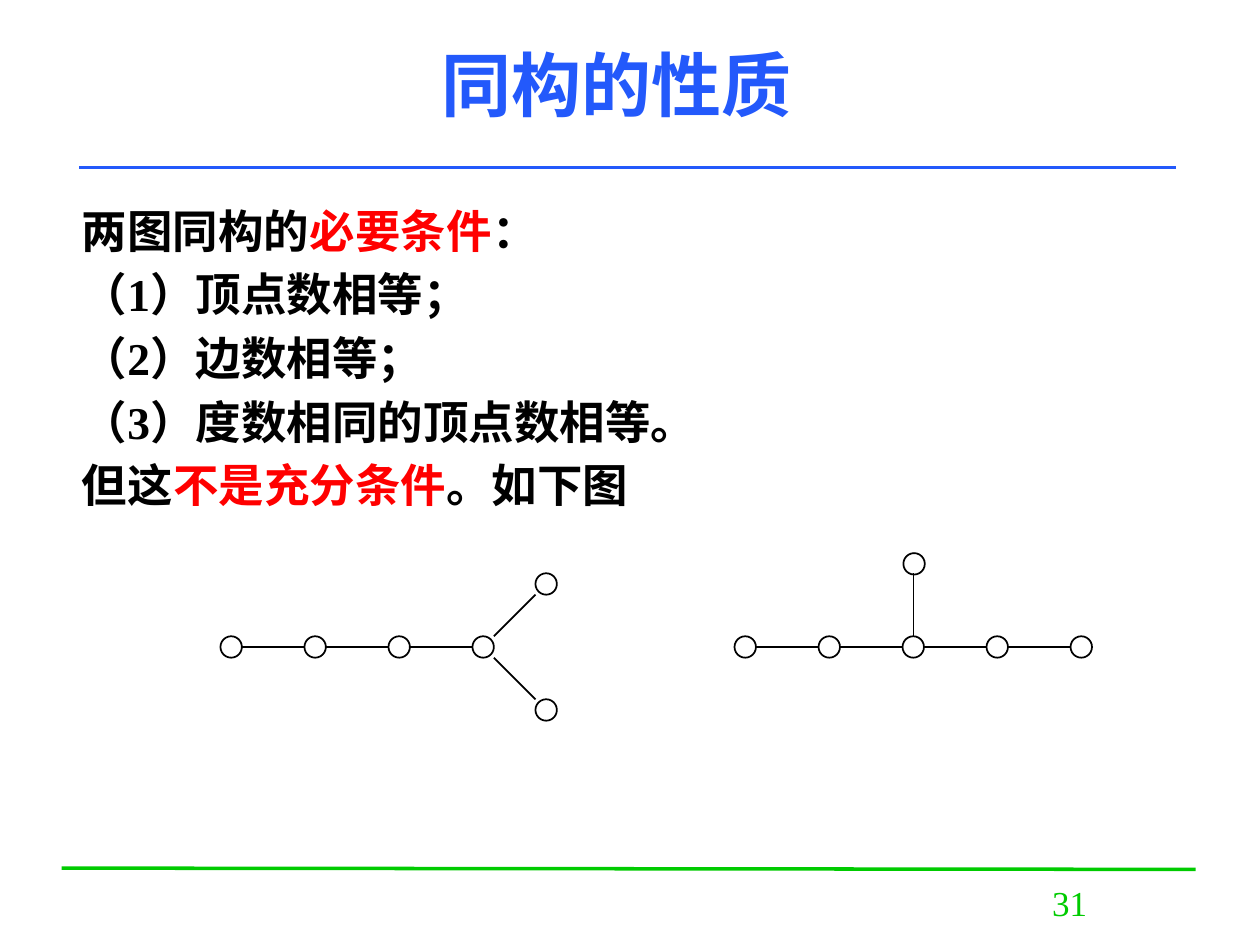
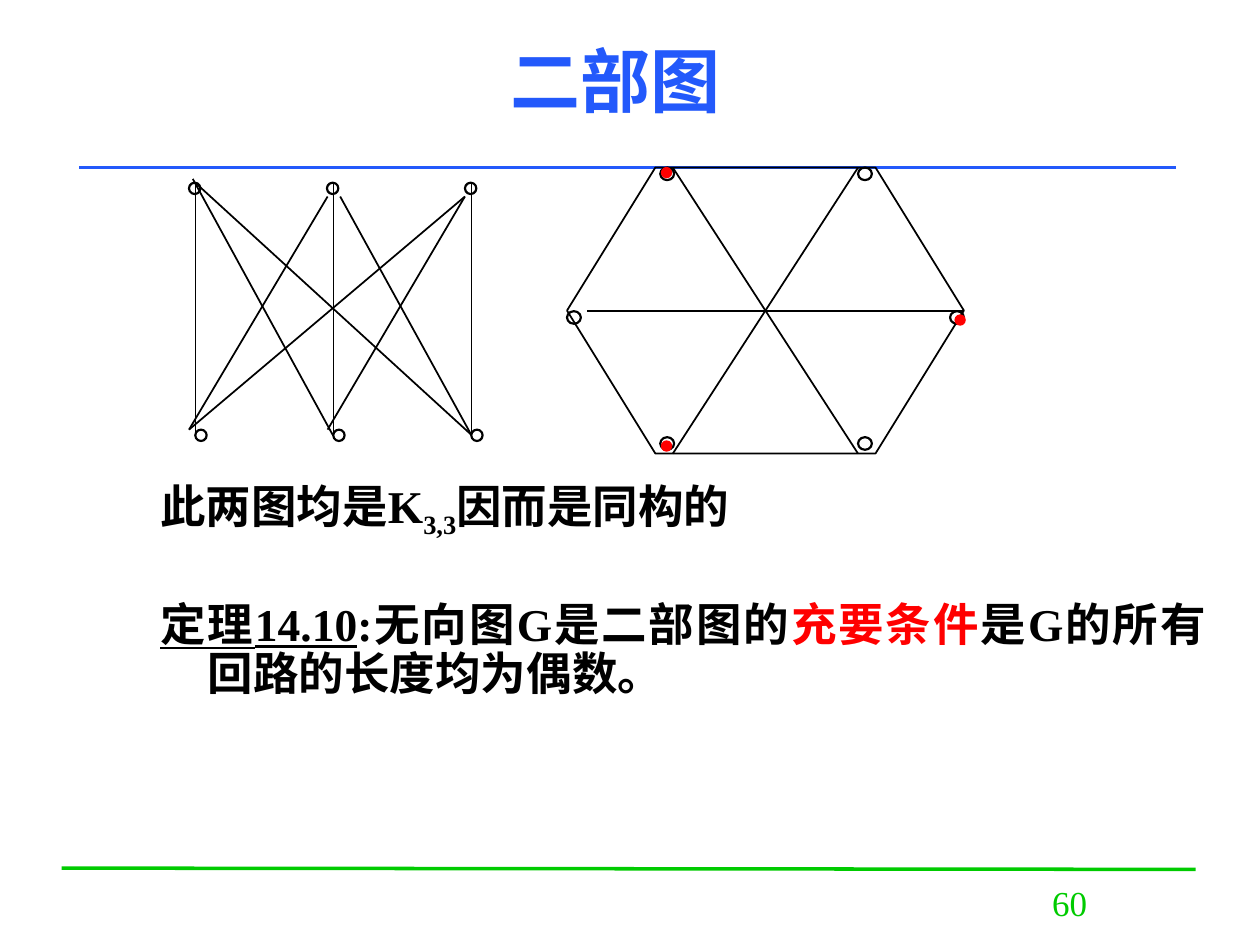
from lxml.etree import SubElement
from pptx import Presentation
from pptx.dml.color import RGBColor
from pptx.enum.lang import MSO_LANGUAGE_ID as Language
from pptx.enum.shapes import MSO_CONNECTOR as Connector, MSO_SHAPE as Shape
from pptx.enum.text import MSO_ANCHOR as Anchor, MSO_AUTO_SIZE as AutoSize, PP_ALIGN as Align
from pptx.oxml.ns import qn
from pptx.util import Inches, Pt

BLUE = RGBColor(0x23, 0x59, 0xFB)
GREEN = RGBColor(0x00, 0xCB, 0x00)
RED = RGBColor(0xFF, 0x00, 0x00)
BLACK = RGBColor(0x00, 0x00, 0x00)

SERIF = "Times New Roman"
TITLE_FONT = dict(name="DejaVu Sans", size=Pt(40), bold=True,
                  language_id=Language.SIMPLIFIED_CHINESE)
BODY_FONT = dict(name=SERIF, size=Pt(26), bold=True,
                 language_id=Language.SIMPLIFIED_CHINESE)
NUMBER_FONT = dict(name=SERIF, size=Pt(20), bold=False)

PLAIN, KEY, UNDERLINED, SUBSCRIPT = "plain", "key", "underlined", "subscript"


def add_line(page, x1, y1, x2, y2, color=BLACK, width=1):
    line = page.shapes.add_connector(
        Connector.STRAIGHT, Inches(x1), Inches(y1), Inches(x2), Inches(y2))
    line.line.color.rgb = color
    line.line.width = Pt(width)
    SubElement(line._element.spPr, qn("a:effectLst"))


def add_outline(page, kind, left, top, width, height, weight=1, fill=None):
    shape = page.shapes.add_shape(
        kind, Inches(left), Inches(top), Inches(width), Inches(height))
    shape.shadow.inherit = False
    shape.line.width = Pt(weight)
    shape.line.color.rgb = fill or BLACK
    if fill:
        shape.fill.solid()
        shape.fill.fore_color.rgb = fill
    else:
        shape.fill.background()
    return shape


# Content: each paragraph is (space before in points, list of (text, style))
contents = [
    dict(title="同构的性质", title_at=(1.28, 0.36, 7.23, 0.61), number="31",
         body_at=(0.55, 1.56, 8.5, 4.53), align=Align.LEFT, spacing=1.0,
         paragraphs=[
             (5.2, [("两图同构的", PLAIN), ("必要条件", KEY), ("：", PLAIN)]),
             (5.2, [("（1）顶点数相等；", PLAIN)]),
             (5.2, [("（2）边数相等；", PLAIN)]),
             (5.2, [("（3）度数相同的顶点数相等。", PLAIN)]),
             (5.2, [("但这", PLAIN), ("不是充分条件", KEY), ("。如下图", PLAIN)]),
         ]),
    dict(title="二部图", title_at=(1.25, 0.17, 7.27, 0.92), number="60",
         body_at=(1.17, 3.75, 8.5, 3.17), align=Align.JUSTIFY, spacing=0.9,
         paragraphs=[
             (5.2, [("此两图均是K", PLAIN), ("3,3", SUBSCRIPT),
                    ("因而是同构的", PLAIN)]),
             (38.5, [("定理14.10", UNDERLINED), (":无向图G是二部图的", PLAIN),
                     ("充要条件", KEY), ("是G的所有回路的长度均为偶数。", PLAIN)]),
         ]),
]

deck = Presentation()
deck.slide_width, deck.slide_height = Inches(10), Inches(7.5)
pages = []

for content in contents:
    page = deck.slides.add_slide(deck.slide_layouts[1])
    pages.append(page)

    # Rules shared by all pages
    add_line(page, 0.49, 6.89, 9.49, 6.9, GREEN, 2)
    add_line(page, 0.63, 1.33, 9.33, 1.33, BLUE, 2)

    # Title, body and page number frames
    title, body = page.shapes.title, page.placeholders[1]
    number = page.shapes.add_textbox(0, 0, 0, 0)
    for box, place, anchor in [(title, content["title_at"], Anchor.MIDDLE),
                               (body, content["body_at"], Anchor.TOP),
                               (number, (7.7, 6.95, 1.58, 0.5), Anchor.TOP)]:
        box.left, box.top, box.width, box.height = map(Inches, place)
        box.text_frame.word_wrap = True
        box.text_frame.auto_size = AutoSize.NONE
        box.text_frame.vertical_anchor = anchor

    # Title and page number text
    for box, text, look, color in [(title, content["title"], TITLE_FONT, BLUE),
                                   (number, content["number"], NUMBER_FONT, GREEN)]:
        para = box.text_frame.paragraphs[0]
        para.alignment = Align.CENTER
        span = para.add_run()
        span.text = text
        span.font.color.rgb = color
        for name, value in look.items():
            setattr(span.font, name, value)

    # Body text with hanging indents and no bullets
    for index, (before, spans) in enumerate(content["paragraphs"]):
        frame = body.text_frame
        para = frame.add_paragraph() if index else frame.paragraphs[0]
        para.alignment = content["align"]
        para.line_spacing = content["spacing"]
        para.space_before = Pt(before)
        properties = para._p.get_or_add_pPr()
        properties.set("marL", str(Inches(0.38)))
        properties.set("indent", str(-Inches(0.38)))
        SubElement(properties, qn("a:buNone"))
        for text, style in spans:
            span = para.add_run()
            span.text = text
            for name, value in BODY_FONT.items():
                setattr(span.font, name, value)
            span.font.color.rgb = RED if style == KEY else BLACK
            if style == UNDERLINED:
                span.font.underline = True
            if style == SUBSCRIPT:
                span._r.get_or_add_rPr().set("baseline", "-25000")

trees, bipartite = pages

# Two trees: a row of evenly spaced vertices, plus branches
SIZE, STEP, ROW = 0.17, 2 / 3, 5.05
for start, count in [(1.75, 4), (5.83, 5)]:
    for i in range(count):
        left = start + i * STEP
        add_outline(trees, Shape.OVAL, left, ROW, SIZE, SIZE)
        if i:
            add_line(trees, left - STEP + SIZE, ROW + SIZE / 2, left, ROW + SIZE / 2)
for left, top in [(4.25, 4.55), (4.25, 5.55), (7.17, 4.39)]:
    add_outline(trees, Shape.OVAL, left, top, SIZE, SIZE)
add_line(trees, 3.92, 5.22, 4.25, 5.55)
add_line(trees, 3.92, 5.05, 4.25, 4.72)
add_line(trees, 7.25, 4.55, 7.25, 5.05)

# K3,3 drawn as two rows of three vertices
for i in range(3):
    shift = i * 1.095
    add_outline(bipartite, Shape.OVAL, 1.5 + shift, 1.45, 0.09, 0.09, 1.25)
    add_outline(bipartite, Shape.OVAL, 1.55 + shift, 3.41, 0.09, 0.09, 1.25)
    add_line(bipartite, 1.55 + shift, 1.45, 1.55 + shift, 3.45, width=0.75)
for ends in [(1.5, 3.41, 3.69, 1.56), (1.55, 1.45, 3.74, 3.45),
             (2.6, 1.56, 1.5, 3.41), (2.7, 1.56, 3.74, 3.45),
             (1.53, 1.42, 2.64, 3.45), (2.6, 3.41, 3.69, 1.56)]:
    add_line(bipartite, *ends)

# K3,3 drawn as a hexagon with its diagonals
hexagon = add_outline(bipartite, Shape.HEXAGON, 4.5, 1.33, 3.15, 2.27)
hexagon.adjustments[0] = 0.309
for ends in [(6.81, 1.33, 5.34, 3.6), (5.34, 1.33, 6.81, 3.6),
             (4.66, 2.47, 7.65, 2.47)]:
    add_line(bipartite, *ends)
for left, top in [(4.5, 2.47), (7.54, 2.47), (5.24, 1.33),
                  (6.81, 1.33), (5.24, 3.47), (6.81, 3.47)]:
    add_outline(bipartite, Shape.OVAL, left, top, 0.11, 0.1, 1.25)

# Red marks on one of the two vertex sets
for left, top in [(5.25, 3.5), (7.58, 2.5), (5.25, 1.33)]:
    add_outline(bipartite, Shape.OVAL, left, top, 0.08, 0.08, 0.75, RED)

deck.save("out.pptx")
